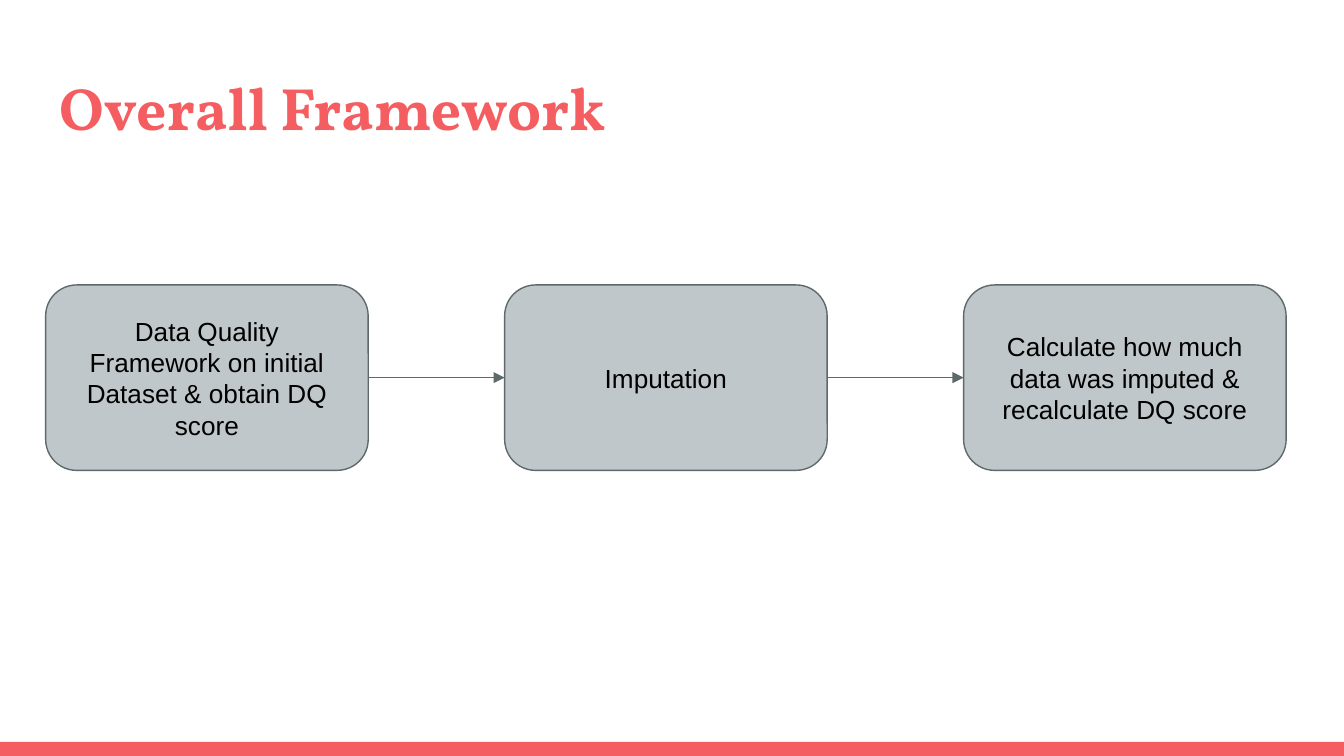
from dataclasses import dataclass
from itertools import pairwise

from lxml import etree
from pptx import Presentation
from pptx import util as u
from pptx.dml.color import RGBColor
from pptx.enum import shapes, text
from pptx.oxml.ns import qn


@dataclass(frozen=True)
class Theme:
    accent: RGBColor = RGBColor.from_string("F55E61")
    step_fill: RGBColor = RGBColor.from_string("BFC7CA")
    outline: RGBColor = RGBColor.from_string("5E696C")
    ink: RGBColor = RGBColor.from_string("000000")
    title_font: str = "Vollkorn"
    body_font: str = "Arial"
    title_size: int = 32
    body_size: int = 14
    line_width: float = 0.75
    inset: float = 0.1


class FlowSlide:
    def __init__(self, deck, theme):
        self.theme = theme
        self.slide = deck.slides.add_slide(deck.slide_layouts[5])

    def _write(self, shape, wording, anchor, align, size, font, color, bold=False):
        frame = shape.text_frame
        inset = u.Inches(self.theme.inset)
        frame_format = {
            "text": wording,
            "word_wrap": True,
            "auto_size": text.MSO_AUTO_SIZE.NONE,
            "vertical_anchor": anchor,
            "margin_left": inset,
            "margin_top": inset,
            "margin_right": inset,
            "margin_bottom": inset,
        }
        for name, value in frame_format.items():
            setattr(frame, name, value)
        paragraph = frame.paragraphs[0]
        paragraph.alignment = align
        run_font = paragraph.runs[0].font
        for name, value in {"name": font, "size": u.Pt(size), "bold": bold}.items():
            setattr(run_font, name, value)
        run_font.color.rgb = color

    def _outline(self, line):
        line.color.rgb = self.theme.outline
        line.width = u.Pt(self.theme.line_width)

    def _block(self, kind, box, fill):
        block = self.slide.shapes.add_shape(kind, *map(u.Inches, box))
        block.shadow.inherit = False
        block.fill.solid()
        block.fill.fore_color.rgb = fill
        return block

    def title(self, wording, left, top, width, height):
        heading = self.slide.shapes.title
        place = {"left": left, "top": top, "width": width, "height": height}
        for name, value in place.items():
            setattr(heading, name, u.Inches(value))
        self._write(heading, wording, text.MSO_ANCHOR.TOP, text.PP_ALIGN.LEFT,
                    self.theme.title_size, self.theme.title_font,
                    self.theme.accent, bold=True)

    def band(self, *box):
        stripe = self._block(shapes.MSO_SHAPE.RECTANGLE, box, self.theme.accent)
        stripe.line.fill.background()

    def step(self, wording, *box):
        card = self._block(shapes.MSO_SHAPE.ROUNDED_RECTANGLE, box, self.theme.step_fill)
        card.adjustments[0] = 0.167
        self._outline(card.line)
        self._write(card, wording, text.MSO_ANCHOR.MIDDLE, text.PP_ALIGN.CENTER,
                    self.theme.body_size, self.theme.body_font, self.theme.ink)
        return card

    def arrow(self, source, target):
        """Join the right side of source to the left side of target."""
        link = self.slide.shapes.add_connector(shapes.MSO_CONNECTOR.STRAIGHT, 0, 0, 0, 0)
        link.begin_connect(source, 3)
        link.end_connect(target, 1)
        self._outline(link.line)
        properties = link._element.spPr
        etree.SubElement(properties.find(qn("a:ln")), qn("a:tailEnd"), type="triangle")
        etree.SubElement(properties, qn("a:effectLst"))


def main():
    deck = Presentation()
    slide_width = 10
    slide_height = slide_width * 9 / 16
    deck.slide_width, deck.slide_height = u.Inches(slide_width), u.Inches(slide_height)

    framework = FlowSlide(deck, Theme())
    band_top = 5.52
    framework.band(0, band_top, slide_width, slide_height - band_top)

    left, step_top, step_width, step_height = 0.34, 2.12, 2.4, 1.38
    framework.title("Overall Framework", left, 0.43, slide_width - 2 * left, 0.68)

    stages = [
        "Data Quality Framework on initial Dataset & obtain DQ score",
        "Imputation",
        "Calculate how much data was imputed & recalculate DQ score",
    ]
    last_left = 7.17
    pitch = (last_left - left) / (len(stages) - 1)
    steps = [
        framework.step(stage, left + i * pitch, step_top, step_width, step_height)
        for i, stage in enumerate(stages)
    ]
    for source, target in pairwise(steps):
        framework.arrow(source, target)

    deck.save("out.pptx")


if __name__ == "__main__":
    main()
